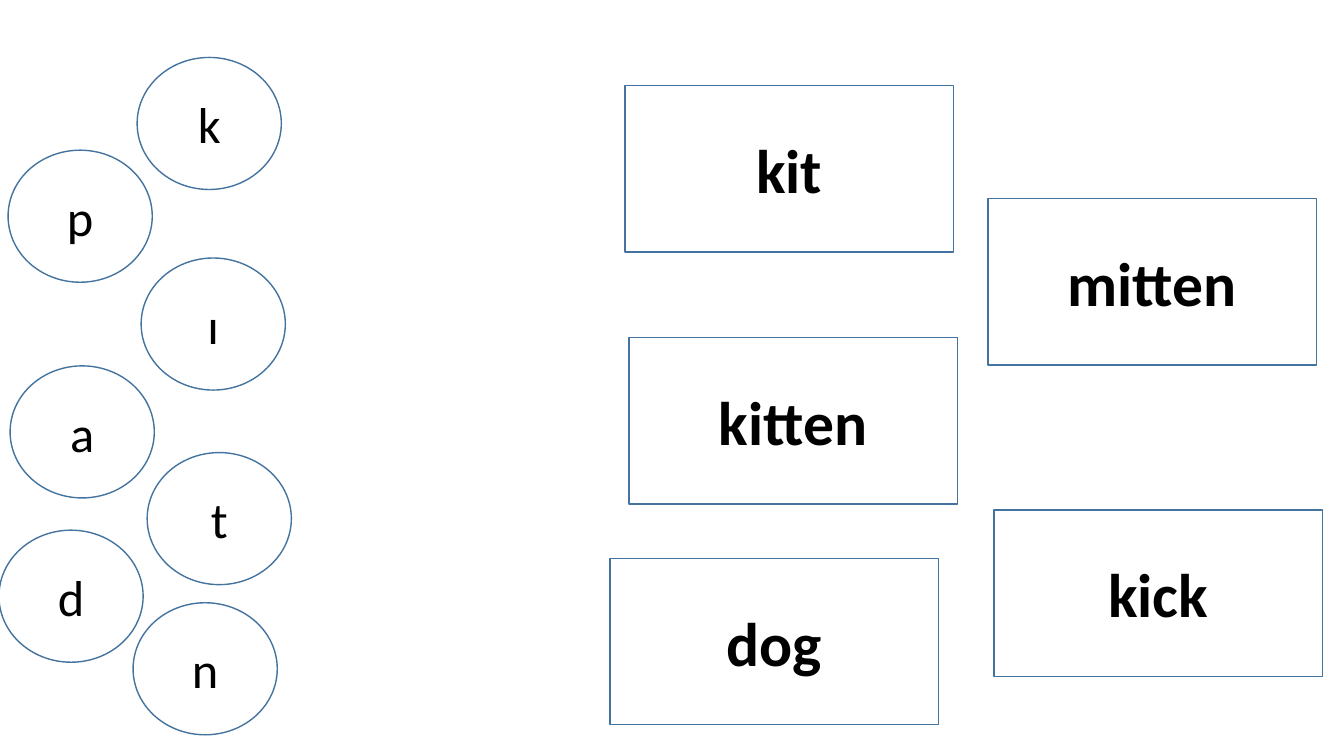
from dataclasses import dataclass

from pptx import Presentation
from pptx.dml.color import RGBColor
from pptx.enum.shapes import MSO_SHAPE
from pptx.enum.text import MSO_ANCHOR, PP_ALIGN
from pptx.util import Inches, Pt

SLIDE_WIDTH = Inches(13.33)
SLIDE_HEIGHT = Inches(7.5)
BLANK_LAYOUT = 6


@dataclass(frozen=True)
class Theme:
    font: str = "Calibri"
    text: RGBColor = RGBColor(0x00, 0x00, 0x00)
    outline: RGBColor = RGBColor(0x43, 0x73, 0x9E)
    outline_width: int = Pt(1)
    letter_size: int = Pt(36)
    word_size: int = Pt(44)


THEME = Theme()

# Positions and sizes are percentages of the slide's width and height.
LETTER_EXTENT = (10.73, 17.47)
LETTERS = [
    ("k", 10.2, 7.6),
    ("ɪ", 10.5, 34.13),
    ("n", 9.9, 79.73),
    ("t", 10.95, 59.87),
    ("a", 0.75, 48.4),
    ("p", 0.6, 19.87),
    ("d", -0.08, 70.13),
]

WORD_EXTENT = (24.45, 22)
WORDS = [
    ("mitten", 73.5, 26.27),
    ("kit", 46.5, 11.33),
    ("dog", 45.38, 73.87),
    ("kitten", 46.8, 44.67),
    ("kick", 73.95, 67.47),
]


def across(percent):
    return round(SLIDE_WIDTH * percent / 100)


def down(percent):
    return round(SLIDE_HEIGHT * percent / 100)


def add_outlined_text(slide, kind, text, left, top, extent, size, bold):
    width, height = extent
    shape = slide.shapes.add_shape(
        kind, across(left), down(top), across(width), down(height)
    )
    shape.shadow.inherit = False
    shape.fill.background()
    shape.line.color.rgb = THEME.outline
    shape.line.width = THEME.outline_width

    text_frame = shape.text_frame
    text_frame.text = text
    text_frame.vertical_anchor = MSO_ANCHOR.MIDDLE
    paragraph = text_frame.paragraphs[0]
    paragraph.alignment = PP_ALIGN.CENTER
    font = paragraph.runs[0].font
    font.name = THEME.font
    font.size = size
    font.bold = bold
    font.color.rgb = THEME.text


def add_letter(slide, letter, left, top):
    add_outlined_text(
        slide, MSO_SHAPE.OVAL, letter, left, top,
        LETTER_EXTENT, THEME.letter_size, False,
    )


def add_word(slide, word, left, top):
    add_outlined_text(
        slide, MSO_SHAPE.RECTANGLE, word, left, top,
        WORD_EXTENT, THEME.word_size, True,
    )


def main():
    presentation = Presentation()
    presentation.slide_width = SLIDE_WIDTH
    presentation.slide_height = SLIDE_HEIGHT
    slide = presentation.slides.add_slide(presentation.slide_layouts[BLANK_LAYOUT])
    for letter, left, top in LETTERS:
        add_letter(slide, letter, left, top)
    for word, left, top in WORDS:
        add_word(slide, word, left, top)
    presentation.save("out.pptx")


if __name__ == "__main__":
    main()
